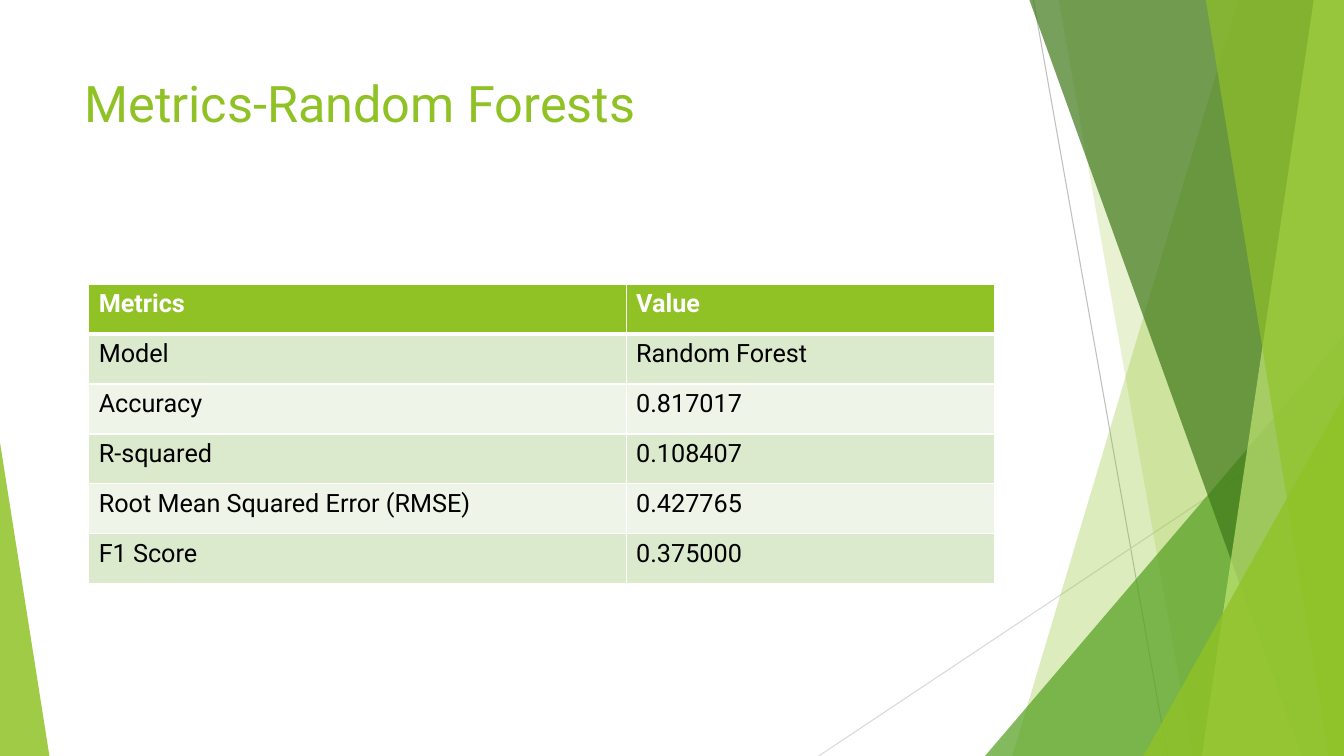
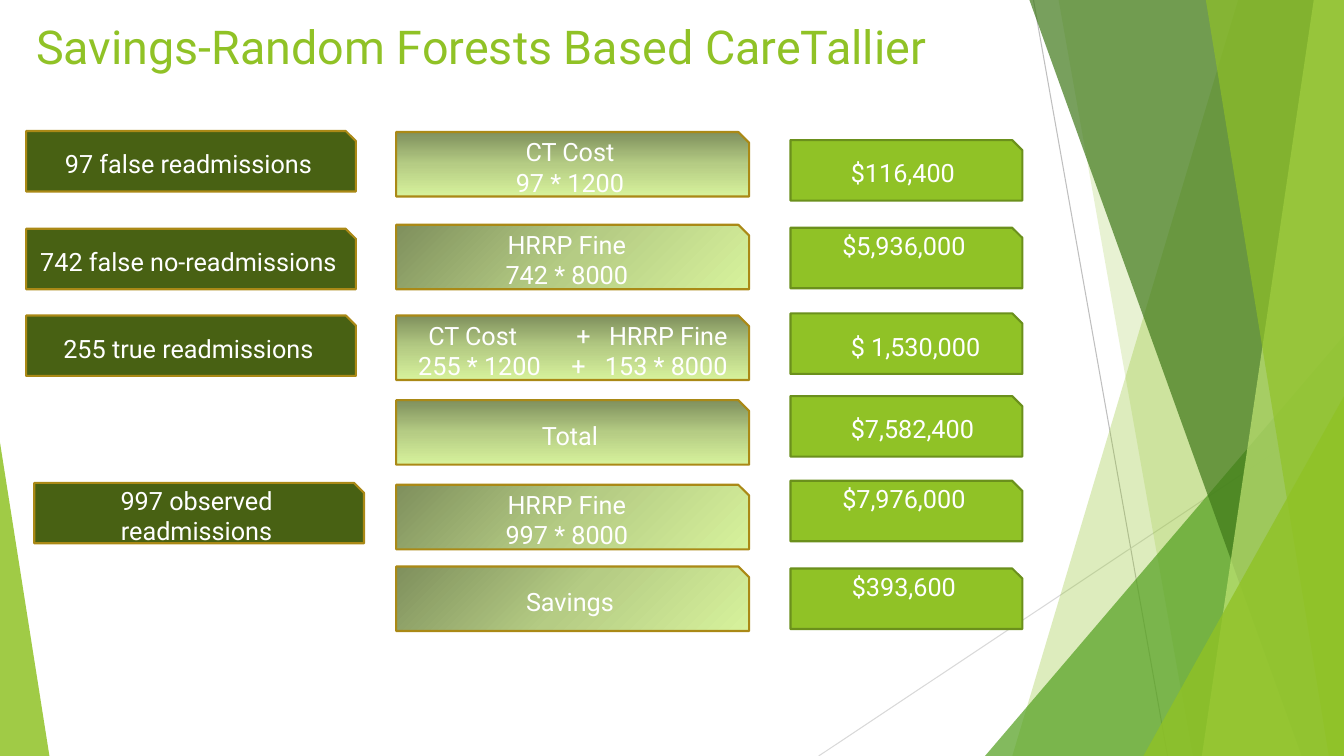
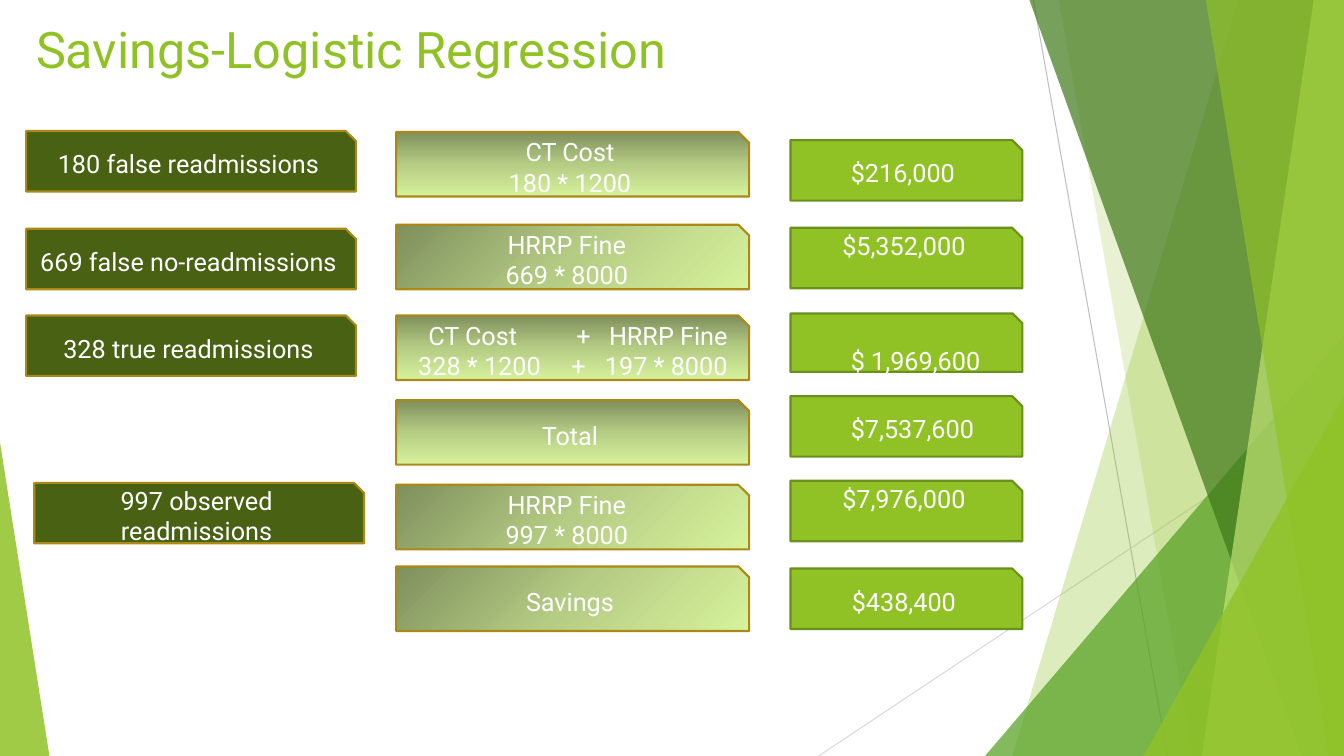
import dataclasses
import typing

import lxml.etree
import pptx
import pptx.dml.color
import pptx.enum.shapes
import pptx.enum.text
import pptx.oxml.ns
import pptx.util

EMU_PER_PX = 9144  # 100 px to the inch
SLIDE_WIDTH, SLIDE_HEIGHT = 1333, 750
COVERAGE_COST, FINE = 1200, 8000
OBSERVED = 997

SHAPE = pptx.enum.shapes.MSO_SHAPE
ALIGN = pptx.enum.text.PP_ALIGN
ANCHOR = pptx.enum.text.MSO_ANCHOR
qn = pptx.oxml.ns.qn


@dataclasses.dataclass(frozen=True)
class Theme:
    font: str = "Roboto"
    title_size: float = 36
    long_title_size: float = 33.3
    body_size: float = 18
    green: str = "90C226"
    mid_green: str = "54A021"
    deep_green: str = "3F7819"
    pale_green: str = "C0E474"
    olive: str = "486113"
    gold: str = "AA8916"
    green_edge: str = "6B901C"
    white: str = "FFFFFF"
    black: str = "000000"
    band_rows: tuple[str, str] = ("DBE9CD", "EEF4E8")
    gradient: tuple[tuple[int, str], ...] = ((0, "7F905D"), (50, "B5CC84"), (100, "D7F29C"))


THEME = Theme()


class Box(typing.NamedTuple):
    left: int
    top: int
    width: int
    height: int


class Ray(typing.NamedTuple):
    start: tuple[int, int]
    end: tuple[int, int]
    color: str


class Facet(typing.NamedTuple):
    """Full-height panel running from a slanted left edge to the slide's right edge."""
    top_left: int
    bottom_left: int
    color: str
    opacity: int


class Wedge(typing.NamedTuple):
    box: Box
    apex: int
    color: str
    opacity: int


class Line(typing.NamedTuple):
    text: str
    alignment: typing.Any = ALIGN.CENTER
    indent: int = 0
    tabs: tuple[int, ...] = ()
    spacing: float = 1


class CardStyle(typing.NamedTuple):
    fill: str | None  # None means the theme gradient
    outline: str


@dataclasses.dataclass(frozen=True)
class Case:
    title: str
    title_width: int
    title_size: float
    false_readmissions: int
    false_no_readmissions: int
    true_readmissions: int
    fined: int
    loose_sum: bool  # third amount is set low in a slightly shorter card
    raised_savings: bool


RAYS = (
    Ray((1025, 0), (1158, 750), "BFBFBF"),
    Ray((1333, 403), (812, 750), "D9D9D9"),
)
PANELS = (
    Facet(1228, 1004, THEME.green, 30),
    Facet(1050, 1183, THEME.green, 20),
    Wedge(Box(977, 333, 356, 417), 1, THEME.mid_green, 72),
    Facet(1021, 1291, THEME.deep_green, 70),
    Facet(1303, 1192, THEME.pale_green, 70),
    Facet(1196, 1318, THEME.green, 65),
    Wedge(Box(1134, 393, 199, 357), 1, THEME.green, 80),
    Wedge(Box(0, 439, 49, 311), 0, THEME.green, 85),
)
METRICS = (
    ("Metrics", "Value"),
    ("Model", "Random Forest"),
    ("Accuracy", "0.817017"),
    ("R-squared", "0.108407"),
    ("Root Mean Squared Error (RMSE)", "0.427765"),
    ("F1 Score", "0.375000"),
)
CASES = (
    Case("Savings-Random Forests Based CareTallier", 974, THEME.long_title_size,
         97, 742, 255, 153, False, True),
    Case("Savings-Logistic Regression", 940, THEME.title_size,
         180, 669, 328, 197, True, False),
)
COUNT_STYLE = CardStyle(THEME.olive, THEME.gold)
FORMULA_STYLE = CardStyle(None, THEME.gold)
AMOUNT_STYLE = CardStyle(THEME.green, THEME.green_edge)


# Basic helpers
def px(length: float) -> pptx.util.Emu:
    return pptx.util.Emu(round(length * EMU_PER_PX))


def rgb(color: str) -> pptx.dml.color.RGBColor:
    return pptx.dml.color.RGBColor.from_string(color)


def set_format(target: typing.Any, values: dict[str, typing.Any]) -> None:
    for name, value in values.items():
        setattr(target, name, value)


def add_element(parent: typing.Any, tag: str, **attributes: typing.Any) -> typing.Any:
    values = {name: str(value) for name, value in attributes.items()}
    return lxml.etree.SubElement(parent, qn(tag), values)


def paint(shape: typing.Any, color: str, opacity: int = 100) -> None:
    shape.shadow.inherit = False
    shape.fill.solid()
    shape.fill.fore_color.rgb = rgb(color)
    if opacity < 100:
        fill_color = shape.element.spPr.find(f"{qn('a:solidFill')}/{qn('a:srgbClr')}")
        add_element(fill_color, "a:alpha", val=opacity * 1000)


def paint_gradient(shape: typing.Any, angle: int) -> None:
    shape.shadow.inherit = False
    shape.fill.gradient()
    shape.fill.gradient_angle = 360 - angle
    stops = shape.element.spPr.find(f"{qn('a:gradFill')}/{qn('a:gsLst')}")
    for stop in list(stops):
        stops.remove(stop)
    for position, color in THEME.gradient:
        stop = add_element(stops, "a:gs", pos=position * 1000)
        add_element(stop, "a:srgbClr", val=color)


def write_lines(frame: typing.Any, lines: typing.Sequence[Line], color: str,
                size: float = THEME.body_size, bold: bool = False) -> None:
    for index, line in enumerate(lines):
        paragraph = frame.add_paragraph() if index else frame.paragraphs[0]
        properties = paragraph._p.get_or_add_pPr()
        if line.indent:
            properties.set("marL", str(px(line.indent)))
        if line.tabs:
            tab_list = add_element(properties, "a:tabLst")
            for position in line.tabs:
                add_element(tab_list, "a:tab", pos=px(position), algn="ctr")
        set_format(paragraph, {"alignment": line.alignment, "line_spacing": line.spacing})
        run = paragraph.add_run()
        run.text = line.text
        set_format(run.font, {"name": THEME.font, "size": pptx.util.Pt(size), "bold": bold})
        run.font.color.rgb = rgb(color)


# Shared slide parts
def draw_background(slide: typing.Any) -> None:
    for ray in RAYS:
        connector = slide.shapes.add_connector(
            pptx.enum.shapes.MSO_CONNECTOR.STRAIGHT, *map(px, ray.start + ray.end))
        connector.line.width = pptx.util.Pt(0.75)
        connector.line.color.rgb = rgb(ray.color)
        add_element(connector.element.spPr, "a:effectLst")
    for panel in PANELS:
        if isinstance(panel, Facet):
            builder = slide.shapes.build_freeform(panel.top_left, 0, scale=EMU_PER_PX)
            builder.add_line_segments([(SLIDE_WIDTH, 0), (SLIDE_WIDTH, SLIDE_HEIGHT),
                                       (panel.bottom_left, SLIDE_HEIGHT)])
            shape = builder.convert_to_shape()
        else:
            shape = slide.shapes.add_shape(SHAPE.ISOSCELES_TRIANGLE, *map(px, panel.box))
            shape.adjustments[0] = panel.apex
        paint(shape, panel.color, panel.opacity)
        shape.line.fill.background()


def add_titled_slide(presentation: typing.Any, title: str, box: Box,
                     size: float = THEME.title_size) -> typing.Any:
    slide = presentation.slides.add_slide(presentation.slide_layouts[6])
    draw_background(slide)
    frame = slide.shapes.add_textbox(*map(px, box)).text_frame
    set_format(frame, {"word_wrap": True, "vertical_anchor": ANCHOR.TOP})
    write_lines(frame, [Line(title, ALIGN.LEFT)], THEME.green, size)
    return slide


# Metrics table
def border_cell(cell: typing.Any, bottom_width: int) -> None:
    properties = cell._tc.get_or_add_tcPr()
    for side, width in (("L", 1), ("R", 1), ("T", 1), ("B", bottom_width)):
        edge = add_element(properties, f"a:ln{side}", w=pptx.util.Pt(width))
        add_element(add_element(edge, "a:solidFill"), "a:srgbClr", val=THEME.white)


def draw_metrics(slide: typing.Any) -> None:
    box = Box(88, 282, 898, 297)
    table = slide.shapes.add_table(len(METRICS), 2, *map(px, box)).table
    for column, width in zip(table.columns, (533, 365)):
        column.width = px(width)
    for row_index, row in enumerate(METRICS):
        header = row_index == 0
        fill = THEME.green if header else THEME.band_rows[(row_index - 1) % 2]
        for column_index, text in enumerate(row):
            cell = table.cell(row_index, column_index)
            border_cell(cell, 3 if header else 1)
            cell.fill.solid()
            cell.fill.fore_color.rgb = rgb(fill)
            write_lines(cell.text_frame, [Line(text, ALIGN.LEFT)],
                        THEME.white if header else THEME.black, bold=header)


# Savings cards
def draw_card(slide: typing.Any, box: Box, style: CardStyle, lines: typing.Sequence[Line],
              angle: int = 90, raised: bool = False) -> None:
    shape = slide.shapes.add_shape(SHAPE.SNIP_1_RECTANGLE, *map(px, box))
    if style.fill is None:
        paint_gradient(shape, angle)
    else:
        paint(shape, style.fill)
    shape.line.width = pptx.util.Pt(1.5)
    shape.line.color.rgb = rgb(style.outline)
    set_format(shape.text_frame, {
        "word_wrap": True,
        "vertical_anchor": ANCHOR.MIDDLE,
        "margin_bottom": px(34 if raised else 5),
    })
    write_lines(shape.text_frame, lines, THEME.white)


def tabbed(cells: typing.Sequence[str], indent: int, tabs: tuple[int, ...]) -> Line:
    return Line(chr(9).join(cells), ALIGN.LEFT, indent, tabs)


def draw_savings(slide: typing.Any, case: Case) -> None:
    # Counts
    for left, top, text in (
        (26, 130, f"{case.false_readmissions} false readmissions"),
        (26, 227, f"{case.false_no_readmissions} false no-readmissions"),
        (26, 313, f"{case.true_readmissions} true readmissions"),
        (34, 479, f"{OBSERVED} observed readmissions"),
    ):
        draw_card(slide, Box(left, top, 327, 60), COUNT_STYLE, [Line(text)])

    # Formulas
    mixed_lines = [
        tabbed(("CT Cost", "+", "HRRP Fine"), 22, (154, 238)),
        tabbed((f"{case.true_readmissions} * {COVERAGE_COST}", "+", f"{case.fined} * {FINE}"),
               12, (159, 246)),
    ]
    for top, angle, lines in (
        (131, 90, [Line("CT Cost"), Line(f"{case.false_readmissions} * {COVERAGE_COST}")]),
        (223, 45, [Line("HRRP Fine "), Line(f"{case.false_no_readmissions} * {FINE} ")]),
        (313, 90, mixed_lines),
        (397, 90, [Line("Total")]),
        (481, 45, [Line("HRRP Fine "), Line(f"{OBSERVED} * {FINE} ")]),
        (562, 45, [Line("Savings")]),
    ):
        draw_card(slide, Box(393, top, 350, 64), FORMULA_STYLE, lines, angle)

    # Amounts
    coverage = case.false_readmissions * COVERAGE_COST
    missed = case.false_no_readmissions * FINE
    mixed = case.true_readmissions * COVERAGE_COST + case.fined * FINE
    total = coverage + missed + mixed
    baseline = OBSERVED * FINE
    mixed_height, mixed_spacing = (58, 2) if case.loose_sum else (60, 1)
    for top, height, raised, line in (
        (139, 60, False, Line(f"${coverage:,}", ALIGN.LEFT, 50)),
        (226, 60, True, Line(f"${missed:,}")),
        (311, mixed_height, False, Line(f"$ {mixed:,}", ALIGN.LEFT, 50, spacing=mixed_spacing)),
        (393, 60, False, Line(f"${total:,}", ALIGN.LEFT, 50)),
        (477, 60, True, Line(f"${baseline:,}")),
        (564, 60, case.raised_savings, Line(f"${baseline - total:,}")),
    ):
        draw_card(slide, Box(784, top, 230, height), AMOUNT_STYLE, [line], raised=raised)


def main() -> None:
    presentation = pptx.Presentation()
    set_format(presentation, {"slide_width": px(SLIDE_WIDTH), "slide_height": px(SLIDE_HEIGHT)})
    draw_metrics(add_titled_slide(presentation, "Metrics-Random Forests", Box(74, 67, 940, 83)))
    for case in CASES:
        title_box = Box(26, 13, case.title_width, 83)
        slide = add_titled_slide(presentation, case.title, title_box, case.title_size)
        draw_savings(slide, case)
    presentation.save("out.pptx")


if __name__ == "__main__":
    main()
